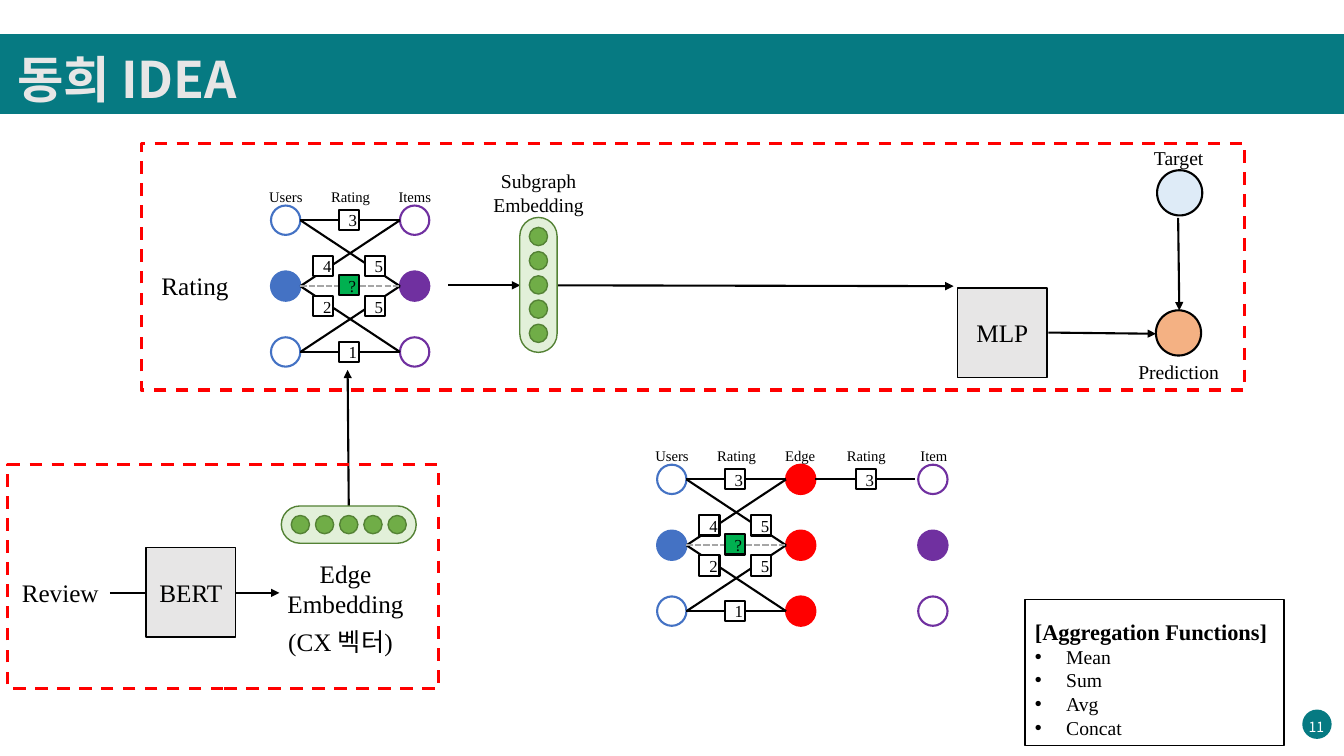
"""Build the rating-and-review embedding idea slide."""
from dataclasses import dataclass
from typing import NamedTuple, Optional

import lxml.etree
import pptx
import pptx.dml.color
import pptx.enum.dml
import pptx.enum.shapes
import pptx.enum.text
import pptx.oxml.ns
import pptx.util

SHAPE = pptx.enum.shapes.MSO_SHAPE
DASH = pptx.enum.dml.MSO_LINE
ALIGN = pptx.enum.text.PP_ALIGN
ANCHOR = pptx.enum.text.MSO_ANCHOR
FIT = pptx.enum.text.MSO_AUTO_SIZE
Cm = pptx.util.Cm
qn = pptx.oxml.ns.qn


@dataclass(frozen=True)
class Theme:
    serif: str = "Times New Roman"
    sans: str = "Noto Sans CJK KR"
    black: str = "000000"
    white: str = "FFFFFF"
    teal: str = "067A82"
    gray: str = "E7E6E6"
    dash_gray: str = "A6A6A6"
    blue: str = "4472C4"
    purple: str = "7030A0"
    red: str = "FF0000"
    unknown: str = "00B050"
    pill: str = "E2F0D9"
    dot: str = "70AD47"
    dot_edge: str = "548235"
    target: str = "DEEBF7"
    prediction: str = "F4B183"
    title: float = 36
    body: float = 18
    heading: float = 16
    caption: float = 14
    rating: float = 12
    column: float = 10.5
    page: float = 10


THEME = Theme()


class Box(NamedTuple):
    left: float
    top: float
    width: float
    height: float


class Point(NamedTuple):
    x: float
    y: float


@dataclass(frozen=True)
class Style:
    size: float
    font: str = THEME.serif
    color: str = THEME.black
    bold: bool = False
    align: ALIGN = ALIGN.CENTER
    spacing: float = 1.0
    bullet: bool = False


@dataclass(frozen=True)
class Column:
    offset: float
    color: str
    filled_rows: tuple[int, ...] = (1,)


@dataclass(frozen=True)
class Heading:
    offset: float
    text: str


@dataclass(frozen=True)
class Rating:
    x: float
    y: float
    text: str
    fill: str = THEME.white


@dataclass(frozen=True)
class Label:
    box: Box
    lines: tuple[str, ...]
    style: Style
    anchor: ANCHOR = ANCHOR.TOP
    wrap: bool = True


NODE, ROW_PITCH, ITEM_OFFSET, TAG = 0.74, 1.66, 3.25, 0.51
EDGES = ((0, 0), (1, 0), (2, 1), (1, 2), (2, 2), (0, 1), (1, 1))
RATINGS = (
    Rating(1.59, 0, "3"), Rating(0.95, 1.16, "4"), Rating(2.25, 1.16, "5"),
    Rating(0.95, 2.17, "2"), Rating(2.25, 2.17, "5"), Rating(1.59, 3.32, "1"),
    Rating(1.59, 1.64, "?", THEME.unknown),
)
BODY = Style(THEME.body)
CAPTION = Style(THEME.caption)
LOOSE_CAPTION = Style(THEME.caption, spacing=1.5)


def rgb(color: str) -> pptx.dml.color.RGBColor:
    return pptx.dml.color.RGBColor.from_string(color)


def around(center: Point, width: float, height: float) -> Box:
    return Box(center.x - width / 2, center.y - height / 2, width, height)


def write(frame, lines: tuple[str, ...], style: Style, first: int = 0) -> None:
    for index, line in enumerate(lines, first):
        paragraph = frame.add_paragraph() if index else frame.paragraphs[0]
        paragraph.alignment = style.align
        paragraph.line_spacing = style.spacing
        if style.bullet:
            props = paragraph._p.get_or_add_pPr()
            props.set("marL", str(Cm(0.79)))
            props.set("indent", str(-Cm(0.79)))
            lxml.etree.SubElement(props, qn("a:buFont")).set("typeface", "Arial")
            lxml.etree.SubElement(props, qn("a:buChar")).set("char", "•")
        run = paragraph.add_run()
        run.text = line
        run.font.size = pptx.util.Pt(style.size)
        run.font.bold = style.bold
        run.font.color.rgb = rgb(style.color)
        run.font.name = style.font
        east_asian = lxml.etree.SubElement(run._r.get_or_add_rPr(), qn("a:ea"))
        east_asian.set("typeface", THEME.sans)


def draw_shape(slide, kind: SHAPE, box: Box, fill: Optional[str] = None,
               line: Optional[str] = None, weight: float = 1.5):
    shape = slide.shapes.add_shape(kind, *map(Cm, box))
    shape.shadow.inherit = False
    if fill:
        shape.fill.solid()
        shape.fill.fore_color.rgb = rgb(fill)
    else:
        shape.fill.background()
    if line:
        shape.line.color.rgb = rgb(line)
        shape.line.width = pptx.util.Pt(weight)
    else:
        shape.line.fill.background()
    return shape


def draw_label(slide, label: Label) -> None:
    frame = slide.shapes.add_textbox(*map(Cm, label.box)).text_frame
    frame.word_wrap = label.wrap
    frame.auto_size = FIT.SHAPE_TO_FIT_TEXT
    frame.vertical_anchor = label.anchor
    write(frame, label.lines, label.style)


def draw_line(slide, start: Point, end: Point, arrow: bool = False,
              color: str = THEME.black, dash: Optional[DASH] = None) -> None:
    line = slide.shapes.add_connector(
        pptx.enum.shapes.MSO_CONNECTOR.STRAIGHT, *map(Cm, (*start, *end)))
    line.line.color.rgb = rgb(color)
    line.line.width = pptx.util.Pt(1.5)
    if dash:
        line.line.dash_style = dash
    if arrow:
        tail = lxml.etree.SubElement(line.line._get_or_add_ln(), qn("a:tailEnd"))
        tail.set("type", "triangle")
    lxml.etree.SubElement(line._element.spPr, qn("a:effectLst"))


def draw_block(slide, box: Box, text: str, size: float, fill: str,
               weight: float) -> None:
    block = draw_shape(slide, SHAPE.RECTANGLE, box, fill, THEME.black, weight)
    block.text_frame.vertical_anchor = ANCHOR.MIDDLE
    write(block.text_frame, (text,), Style(size))


def draw_graph(slide, origin: Point, columns: tuple[Column, ...],
               headings: tuple[Heading, ...], extra: tuple[Rating, ...] = ()) -> None:
    for heading in headings:
        box = Box(origin.x + heading.offset - 1.28, origin.y - 0.94, 2.57, 0.58)
        draw_label(slide, Label(box, (heading.text,), Style(THEME.column)))
    for column in columns:
        for row in range(3):
            center = Point(origin.x + column.offset, origin.y + row * ROW_PITCH)
            fill = column.color if row in column.filled_rows else None
            draw_shape(slide, SHAPE.OVAL, around(center, NODE, NODE), fill, column.color)
    for user, item in EDGES:
        missing = user == item == 1
        draw_line(slide, Point(origin.x + NODE / 2, origin.y + user * ROW_PITCH),
                  Point(origin.x + ITEM_OFFSET - NODE / 2, origin.y + item * ROW_PITCH),
                  color=THEME.dash_gray if missing else THEME.black,
                  dash=DASH.SQUARE_DOT if missing else None)
    if extra:
        draw_line(slide, Point(origin.x + 3.62, origin.y), Point(origin.x + 6.13, origin.y))
    for rating in RATINGS + extra:
        center = Point(origin.x + rating.x, origin.y + rating.y)
        draw_block(slide, around(center, TAG, TAG), rating.text, THEME.rating, rating.fill, 1.5)


def draw_embedding(slide, center: Point, vertical: bool) -> None:
    size = (0.94, 3.4) if vertical else (3.4, 0.94)
    pill = draw_shape(slide, SHAPE.ROUNDED_RECTANGLE, around(center, *size),
                      THEME.pill, THEME.dot_edge, 1)
    pill.adjustments[0] = 0.5
    for step in range(-2, 3):
        shift = step * 0.61
        dot = Point(center.x + shift * (not vertical), center.y + shift * vertical)
        draw_shape(slide, SHAPE.OVAL, around(dot, 0.46, 0.46), THEME.dot, THEME.dot_edge, 1)


def main() -> None:
    deck = pptx.Presentation()
    deck.slide_width, deck.slide_height = Cm(33.87), Cm(19.05)
    slide = deck.slides.add_slide(deck.slide_layouts[6])
    draw_shape(slide, SHAPE.OVAL, Box(32.82, 17.88, NODE, NODE), THEME.teal)
    draw_shape(slide, SHAPE.RECTANGLE, Box(0, 0.86, 33.87, 2.01), THEME.teal)
    users = Column(0, THEME.blue)
    draw_graph(slide, Point(7.2, 5.55), (users, Column(ITEM_OFFSET, THEME.purple)),
               (Heading(0, "Users"), Heading(1.63, "Rating"), Heading(3.25, "Items")))
    draw_graph(slide, Point(16.93, 12.08),
               (users, Column(ITEM_OFFSET, THEME.red, (0, 1, 2)), Column(6.58, THEME.purple)),
               (Heading(0, "Users"), Heading(1.63, "Rating"), Heading(3.23, "Edge"),
                Heading(4.9, "Rating"), Heading(6.6, "Item")), (Rating(4.89, 0, "3"),))
    for start, end in (
        (Point(11.3, 7.19), Point(13.11, 7.19)), (Point(2.77, 14.94), Point(7.04, 14.94)),
        (Point(8.79, 12.75), Point(8.76, 9.32)), (Point(14.05, 7.19), Point(24.03, 7.21)),
        (Point(29.69, 5.49), Point(29.72, 7.82)), (Point(26.42, 8.38), Point(29.13, 8.41)),
    ):
        draw_line(slide, start, end, arrow=True)
    draw_embedding(slide, Point(13.57, 7.18), vertical=True)
    draw_embedding(slide, Point(8.79, 13.22), vertical=False)
    draw_shape(slide, SHAPE.OVAL, Box(29.16, 4.29, 1.14, 1.14), THEME.target, THEME.black)
    draw_shape(slide, SHAPE.OVAL, Box(29.13, 7.82, 1.14, 1.14), THEME.prediction, THEME.black)
    draw_block(slide, Box(24.13, 7.26, 2.26, 2.26), "MLP", THEME.body, THEME.gray, 1)
    draw_block(slide, Box(3.68, 13.79, 2.26, 2.26), "BERT", THEME.body, THEME.gray, 1)
    for label in (
        Label(Box(0.18, 0.43, 33.69, 2.34), ("동희 IDEA",),
              Style(THEME.title, THEME.sans, THEME.gray, True, ALIGN.LEFT, 1.5), ANCHOR.MIDDLE),
        Label(Box(32.49, 17.78, 1.37, 0.84), ("11",),
              Style(THEME.page, THEME.sans, THEME.white, spacing=1.5), wrap=False),
        Label(Box(3.63, 6.68, 2.57, 1.02), ("Rating",), BODY),
        Label(Box(11.38, 4.14, 4.39, 1.45), ("Subgraph", "Embedding"), CAPTION),
        Label(Box(28.37, 8.66, 2.67, 1.04), ("Prediction",), LOOSE_CAPTION),
        Label(Box(28.37, 3.25, 2.67, 1.04), ("Target",), LOOSE_CAPTION),
        Label(Box(0, 14.43, 3.04, 1.02), ("Review",), BODY),
        Label(Box(6.68, 13.94, 4.06, 1.8), ("Edge", "Embedding"), BODY),
        Label(Box(6.55, 15.65, 4.06, 1.02), ("(CX 벡터)",), BODY),
    ):
        draw_label(slide, label)
    for frame_box in (Box(0.2, 11.71, 10.85, 5.64), Box(3.56, 3.61, 27.81, 6.22)):
        frame = draw_shape(slide, SHAPE.RECTANGLE, frame_box, line=THEME.red, weight=2.25)
        frame.line.dash_style = DASH.DASH
    aggregation = draw_shape(slide, SHAPE.RECTANGLE, Box(25.83, 15.11, 6.53, 3.68),
                             line=THEME.black, weight=1).text_frame
    aggregation.vertical_anchor = ANCHOR.TOP
    aggregation.auto_size = FIT.SHAPE_TO_FIT_TEXT
    write(aggregation, ("[Aggregation Functions]",),
          Style(THEME.heading, bold=True, align=ALIGN.LEFT, spacing=1.5))
    write(aggregation, ("Mean", "Sum", "Avg", "Concat"),
          Style(THEME.caption, align=ALIGN.LEFT, bullet=True), first=1)
    deck.save("out.pptx")


if __name__ == "__main__":
    main()
